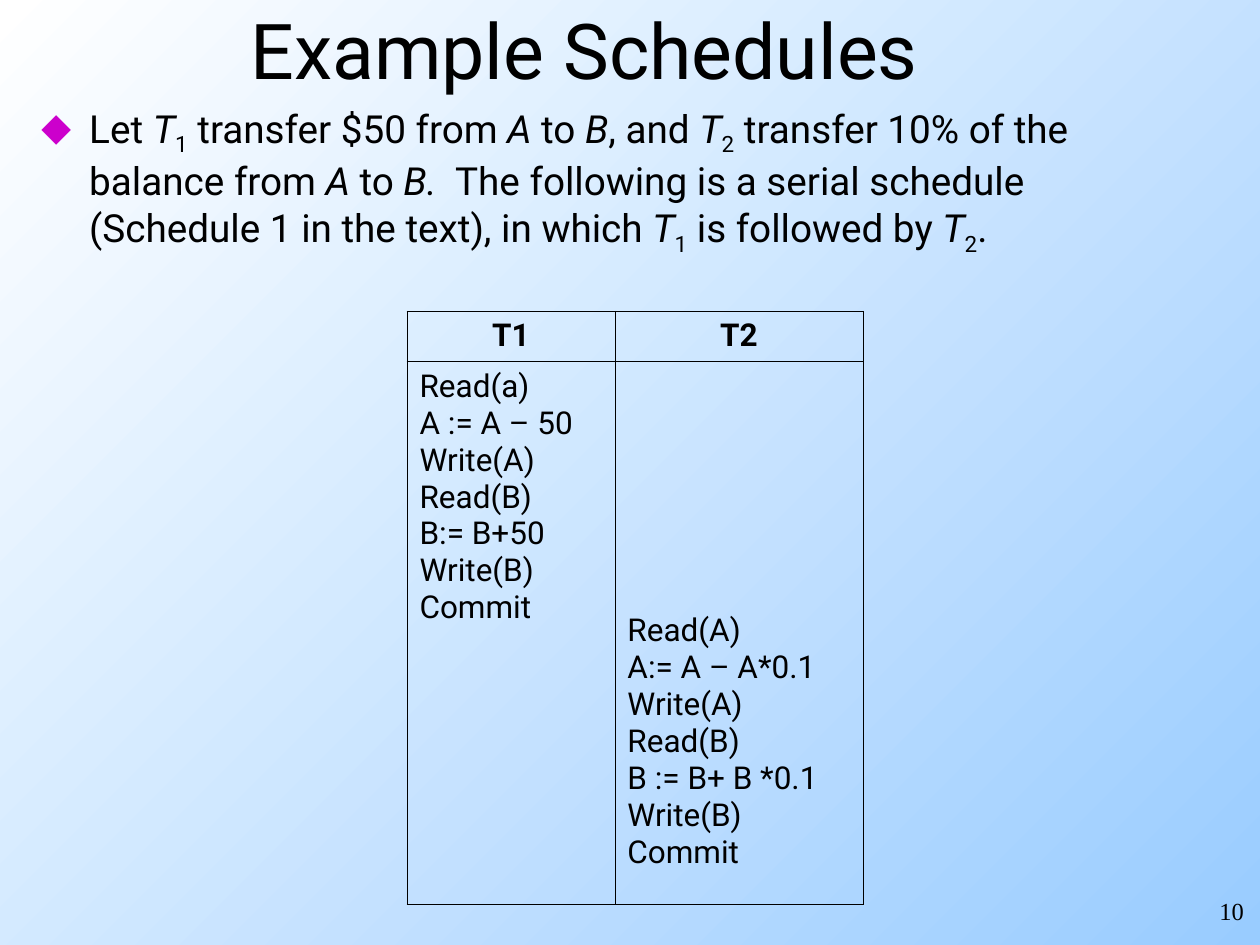
from lxml import etree
from pptx import Presentation
from pptx.dml.color import RGBColor
from pptx.enum.text import MSO_ANCHOR as Anchor, PP_ALIGN as Align
from pptx.oxml import parse_xml
from pptx.oxml.ns import nsdecls, qn
from pptx.util import Inches, Pt


def color(hex_string):
    return RGBColor.from_string(hex_string)


def add_run(paragraph, text, size, name="Roboto", **extra):
    run = paragraph.add_run()
    run.text = text
    formats = {"size": Pt(size), "name": name, **extra}
    for attribute, value in formats.items():
        setattr(run.font, attribute, value)
    run.font.color.rgb = color("000000")
    return run


presentation = Presentation()
presentation.slide_width, presentation.slide_height = Inches(10), Inches(7.5)
slide = presentation.slides.add_slide(presentation.slide_layouts[6])

# Background: diagonal gradient
background = slide.background.fill
background.gradient()
background.gradient_angle = 315
for stop, position, shade in zip(background.gradient_stops, (0, 1), ("FFFFFF", "99CCFF")):
    stop.position = position
    stop.color.rgb = color(shade)

# Text boxes: title, body and page number
boxes = {
    "title": (0.39, 0, 8.5, 0.78, Anchor.MIDDLE, Align.CENTER),
    "body": (0.23, 0.78, 9.22, 1.95, Anchor.TOP, Align.LEFT),
    "number": (7.89, 7.06, 2.08, 0.36, Anchor.TOP, Align.RIGHT),
}
paragraphs = {}
for key, (left, top, width, height, anchor, alignment) in boxes.items():
    shape = slide.shapes.add_textbox(Inches(left), Inches(top), Inches(width), Inches(height))
    frame = shape.text_frame
    for attribute, value in {"word_wrap": True, "vertical_anchor": anchor}.items():
        setattr(frame, attribute, value)
    paragraphs[key] = frame.paragraphs[0]
    paragraphs[key].alignment = alignment

add_run(paragraphs["title"], "Example Schedules", 44)
add_run(paragraphs["number"], "10", 14, "Times New Roman")

# Body: diamond bullet with a hanging indent
body = paragraphs["body"]
body.space_before = Pt(6.5)
properties = body._p.get_or_add_pPr()
properties.set("marL", str(Inches(0.38)))
properties.set("indent", str(-Inches(0.38)))
bullet_color = etree.SubElement(properties, qn("a:buClr"))
etree.SubElement(bullet_color, qn("a:srgbClr"), val="CC00CC")
etree.SubElement(properties, qn("a:buChar"), char="◆")

# Each piece of the sentence is plain, italic or subscript
pieces = [
    ("Let ", "plain"), ("T", "italic"), ("1", "subscript"),
    (" transfer $50 from ", "plain"), ("A ", "italic"), ("to ", "plain"),
    ("B", "italic"), (", and ", "plain"), ("T", "italic"), ("2", "subscript"),
    (" transfer 10% of the balance from ", "plain"), ("A ", "italic"),
    ("to ", "plain"), ("B.", "italic"),
    ("  The following is a serial schedule (Schedule 1 in the text), in which ", "plain"),
    ("T", "italic"), ("1", "subscript"), (" is followed by ", "plain"),
    ("T", "italic"), ("2", "subscript"), (".", "plain"),
]
for text, style in pieces:
    run = add_run(body, text, 22.1, italic=style == "italic")
    if style == "subscript":
        run._r.get_or_add_rPr().set("baseline", "-25000")

# Schedule table: T2 starts below the end of T1
schedule = [
    ("T1", 1.65, 0.05,
     ["Read(a)", "A := A – 50", "Write(A)", "Read(B)", "B:= B+50", "Write(B)", "Commit"]),
    ("T2", 1.97, 1.99,
     ["Read(A)", "A:= A – A*0.1", "Write(A)", "Read(B)", "B := B+ B *0.1", "Write(B)", "Commit"]),
]
table = slide.shapes.add_table(
    2, 2, Inches(3.23), Inches(2.47), Inches(3.62), Inches(4.71)).table
table.first_row = table.horz_banding = False
table.rows[0].height, table.rows[1].height = Inches(0.4), Inches(4.31)

for column, (heading, width, top_margin, steps) in enumerate(schedule):
    table.columns[column].width = Inches(width)
    header, steps_cell = table.cell(0, column), table.cell(1, column)
    header.text_frame.paragraphs[0].alignment = Align.CENTER
    add_run(header.text_frame.paragraphs[0], heading, 18, bold=True)

    steps_cell.margin_top = Inches(top_margin)
    for index, step in enumerate(steps):
        frame = steps_cell.text_frame
        paragraph = frame.paragraphs[0] if index == 0 else frame.add_paragraph()
        add_run(paragraph, step, 18, bold=False)

    # Clear fill and thin black borders
    for cell in (header, steps_cell):
        cell.fill.background()
        cell_properties = cell._tc.get_or_add_tcPr()
        for index, side in enumerate(("lnL", "lnR", "lnT", "lnB")):
            border = parse_xml(
                f'<a:{side} {nsdecls("a")} w="{Pt(0.45)}"><a:solidFill>'
                f'<a:srgbClr val="000000"/></a:solidFill></a:{side}>')
            cell_properties.insert(index, border)

presentation.save("out.pptx")
